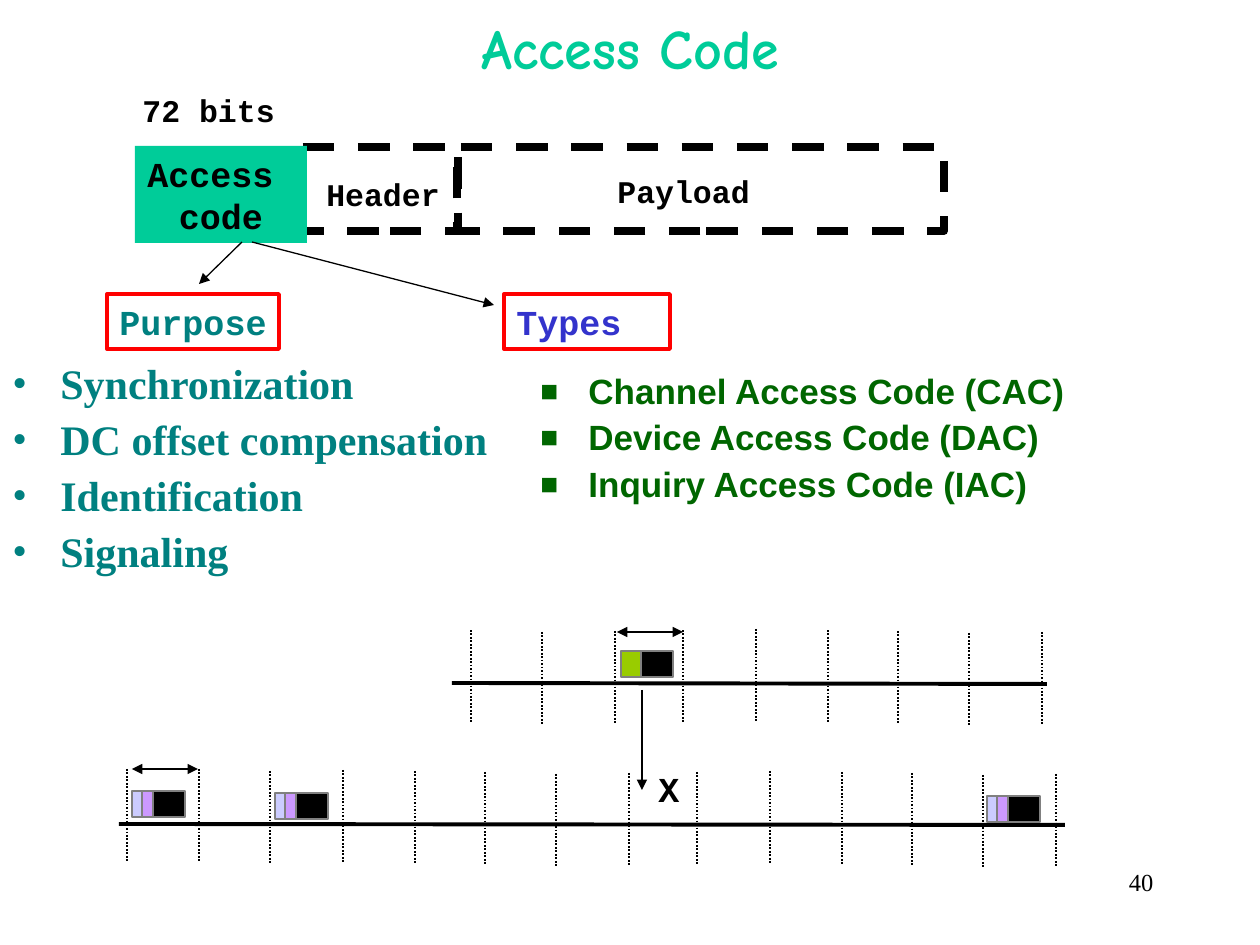
"""Build the Access Code slide with its packet layout and slot timelines."""
from dataclasses import dataclass
from typing import Optional

from lxml.etree import SubElement
from pptx import Presentation
from pptx.dml.color import RGBColor
from pptx.enum.dml import MSO_LINE
from pptx.enum.shapes import MSO_CONNECTOR, MSO_SHAPE
from pptx.enum.text import MSO_ANCHOR, MSO_AUTO_SIZE, PP_ALIGN
from pptx.oxml.ns import qn
from pptx.util import Emu, Pt

EMU_PER_PX = 914400 / 126
BLACK, GREEN, TEAL, GRAY = "000000", "00CC99", "008080", "808080"
LILAC, PURPLE, LIME = "CCCCFF", "CC99FF", "99CC00"
COURIER, TIMES = "Courier New", "Times New Roman"


@dataclass(frozen=True)
class Box:
    left: int
    top: int
    width: int
    height: int


@dataclass(frozen=True)
class Style:
    size: int
    name: str
    color: str
    bold: bool = True


@dataclass(frozen=True)
class Label:
    box: Box
    lines: tuple
    style: Style
    align: PP_ALIGN = PP_ALIGN.CENTER
    anchor: MSO_ANCHOR = MSO_ANCHOR.MIDDLE
    fill: Optional[str] = None
    border: Optional[str] = None
    wrap: bool = False


@dataclass(frozen=True)
class BulletList:
    box: Box
    items: tuple
    style: Style
    bullet: str
    percent: int
    space: int


@dataclass(frozen=True)
class Line:
    start: tuple
    end: tuple
    width: float = 1
    dash: Optional[MSO_LINE] = None
    heads: tuple = ()


@dataclass(frozen=True)
class Packet:
    left: int
    top: int
    fields: tuple


SMALL, MEDIUM = Style(18, COURIER, BLACK), Style(20, COURIER, BLACK)
TITLE = Label(Box(95, 0, 1071, 95), ("Access Code",), Style(32, "Comic Neue", GREEN), wrap=True)
FRAMES = (Box(457, 147, 487, 84), Box(300, 147, 158, 84))
LABELS = (
    Label(Box(135, 146, 172, 97), ("Access ", "code"), MEDIUM, fill=GREEN),
    Label(Box(314, 169, 138, 50), ("Header",), SMALL),
    Label(Box(605, 166, 157, 50), ("Payload",), SMALL),
    Label(Box(130, 85, 157, 50), ("72 bits",), SMALL),
    Label(Box(107, 294, 172, 55), ("Purpose",), Style(20, COURIER, TEAL),
          PP_ALIGN.LEFT, MSO_ANCHOR.TOP, border="FF0000"),
    Label(Box(504, 294, 166, 55), ("Types",), Style(20, COURIER, "3333CC"),
          PP_ALIGN.LEFT, MSO_ANCHOR.TOP, border="FF0000", wrap=True),
    Label(Box(646, 761, 46, 55), ("X",), MEDIUM, PP_ALIGN.LEFT, MSO_ANCHOR.TOP),
    Label(Box(903, 861, 263, 63), ("40",), Style(14, TIMES, BLACK, False),
          PP_ALIGN.RIGHT, MSO_ANCHOR.TOP, wrap=True),
)
LISTS = (
    BulletList(Box(0, 357, 567, 231),
               ("Synchronization", "DC offset compensation", "Identification", "Signaling"),
               Style(24, TIMES, TEAL), "•", 100, 6),
    BulletList(Box(528, 368, 563, 189),
               ("Channel Access Code (CAC)", "Device Access Code (DAC)", "Inquiry Access Code (IAC)"),
               Style(20, "Arial", "006600"), "■", 85, 5),
)
TICK_HEIGHT = 92
LOWER_TICKS = ((127, 769), (199, 769), (270, 771), (343, 770), (415, 771), (485, 772), (556, 774),
               (629, 773), (697, 772), (770, 771), (842, 772), (912, 773), (983, 775), (1056, 774))
UPPER_TICKS = tuple((x - 14, y - 142) for x, y in LOWER_TICKS[5:])
BOTH, END = ("headEnd", "tailEnd"), ("tailEnd",)
LINES = (
    Line((119, 824), (1065, 825), 2.25),
    Line((452, 683), (1047, 684), 2.25),
    Line((132, 769), (198, 769), heads=BOTH),
    Line((617, 632), (683, 632), heads=BOTH),
    Line((642, 690), (642, 790), heads=END),
    Line((242, 242), (199, 284), 0.75, heads=END),
    Line((252, 242), (494, 305), 0.75, heads=END),
)
DATA_FIELDS = ((0, 10, LILAC), (21, 32, BLACK), (10, 11, PURPLE))
PACKETS = (
    Packet(132, 791, DATA_FIELDS), Packet(275, 793, DATA_FIELDS), Packet(987, 796, DATA_FIELDS),
    Packet(621, 651, ((0, 23, LIME), (20, 32, BLACK))),
)


def px(value: int) -> Emu:
    """Turn pixels into EMU."""
    return Emu(round(value * EMU_PER_PX))


def color(hex_value: str) -> RGBColor:
    """Turn a hex string into a colour."""
    return RGBColor.from_string(hex_value)


def edges(box: Box) -> tuple:
    """Return the box as EMU lengths."""
    return px(box.left), px(box.top), px(box.width), px(box.height)


def write(paragraph, text: str, style: Style) -> None:
    """Add one formatted run to a paragraph."""
    run = paragraph.add_run()
    run.text = text
    values = {"size": Pt(style.size), "name": style.name, "bold": style.bold, "italic": False}
    for name, value in values.items():
        setattr(run.font, name, value)
    run.font.color.rgb = color(style.color)


def draw_rectangle(slide, box: Box, fill: Optional[str] = None, border: Optional[str] = None,
                   width: float = 0.75, dash: Optional[MSO_LINE] = None):
    """Draw a rectangle with optional fill and border."""
    shape = slide.shapes.add_shape(MSO_SHAPE.RECTANGLE, *edges(box))
    shape.shadow.inherit = False
    for target, value in ((shape.fill, fill), (shape.line.fill, border)):
        if value:
            target.solid()
            target.fore_color.rgb = color(value)
        else:
            target.background()
    if border:
        shape.line.width, shape.line.dash_style = Pt(width), dash
    return shape


def fill_label(shape, label: Label) -> None:
    """Format a shape's text frame and write the label lines."""
    frame = shape.text_frame
    values = {"word_wrap": label.wrap, "auto_size": MSO_AUTO_SIZE.NONE, "vertical_anchor": label.anchor}
    for name, value in values.items():
        setattr(frame, name, value)
    for index, text in enumerate(label.lines):
        paragraph = frame.add_paragraph() if index else frame.paragraphs[0]
        paragraph.alignment = label.align
        write(paragraph, text, label.style)


def draw_title(slide, label: Label) -> None:
    """Place and format the title placeholder."""
    title = slide.shapes.title
    for name, value in zip(("left", "top", "width", "height"), edges(label.box)):
        setattr(title, name, value)
    fill_label(title, label)


def draw_label(slide, label: Label) -> None:
    """Draw a text box, or a rectangle when it has fill or border."""
    if label.fill or label.border:
        shape = draw_rectangle(slide, label.box, label.fill, label.border, 2.25)
    else:
        shape = slide.shapes.add_textbox(*edges(label.box))
    fill_label(shape, label)


def draw_list(slide, block: BulletList) -> None:
    """Draw a bulleted list."""
    frame = slide.shapes.add_textbox(*edges(block.box)).text_frame
    frame.word_wrap = True
    for index, text in enumerate(block.items):
        paragraph = frame.add_paragraph() if index else frame.paragraphs[0]
        properties = paragraph._p.get_or_add_pPr()
        properties.set("marL", str(px(48)))
        properties.set("indent", str(px(-48)))
        bullet_color = SubElement(properties, qn("a:buClr"))
        SubElement(bullet_color, qn("a:srgbClr"), val=block.style.color)
        SubElement(properties, qn("a:buSzPct"), val=str(block.percent * 1000))
        SubElement(properties, qn("a:buFont"), typeface=block.style.name)
        SubElement(properties, qn("a:buChar"), char=block.bullet)
        paragraph.line_spacing = 0.9
        paragraph.space_before = Pt(block.space if index else 0)
        write(paragraph, text, block.style)


def draw_line(slide, line: Line) -> None:
    """Draw a straight line with optional dash and arrowheads."""
    points = (px(value) for value in line.start + line.end)
    connector = slide.shapes.add_connector(MSO_CONNECTOR.STRAIGHT, *points)
    connector.line.color.rgb = color(BLACK)
    connector.line.width, connector.line.dash_style = Pt(line.width), line.dash
    for head in line.heads:
        SubElement(connector.line._get_or_add_ln(), qn(f"a:{head}"), type="triangle")
    SubElement(connector._element.spPr, qn("a:effectLst"))


def draw_packet(slide, packet: Packet) -> None:
    """Draw the adjoining fields of a packet."""
    for offset, width, fill in packet.fields:
        draw_rectangle(slide, Box(packet.left + offset, packet.top, width, 26), fill, GRAY)


def main() -> None:
    """Build and save the slide."""
    presentation = Presentation()
    presentation.slide_width, presentation.slide_height = px(1260), px(945)
    slide = presentation.slides.add_slide(presentation.slide_layouts[5])
    draw_title(slide, TITLE)
    for frame in FRAMES:
        draw_rectangle(slide, frame, border=BLACK, width=4.5, dash=MSO_LINE.DASH)
    ticks = tuple(Line((x, y), (x, y + TICK_HEIGHT), dash=MSO_LINE.ROUND_DOT)
                  for x, y in LOWER_TICKS + UPPER_TICKS)
    for draw, items in ((draw_label, LABELS), (draw_list, LISTS),
                        (draw_line, ticks + LINES), (draw_packet, PACKETS)):
        for item in items:
            draw(slide, item)
    presentation.save("out.pptx")


if __name__ == "__main__":
    main()
